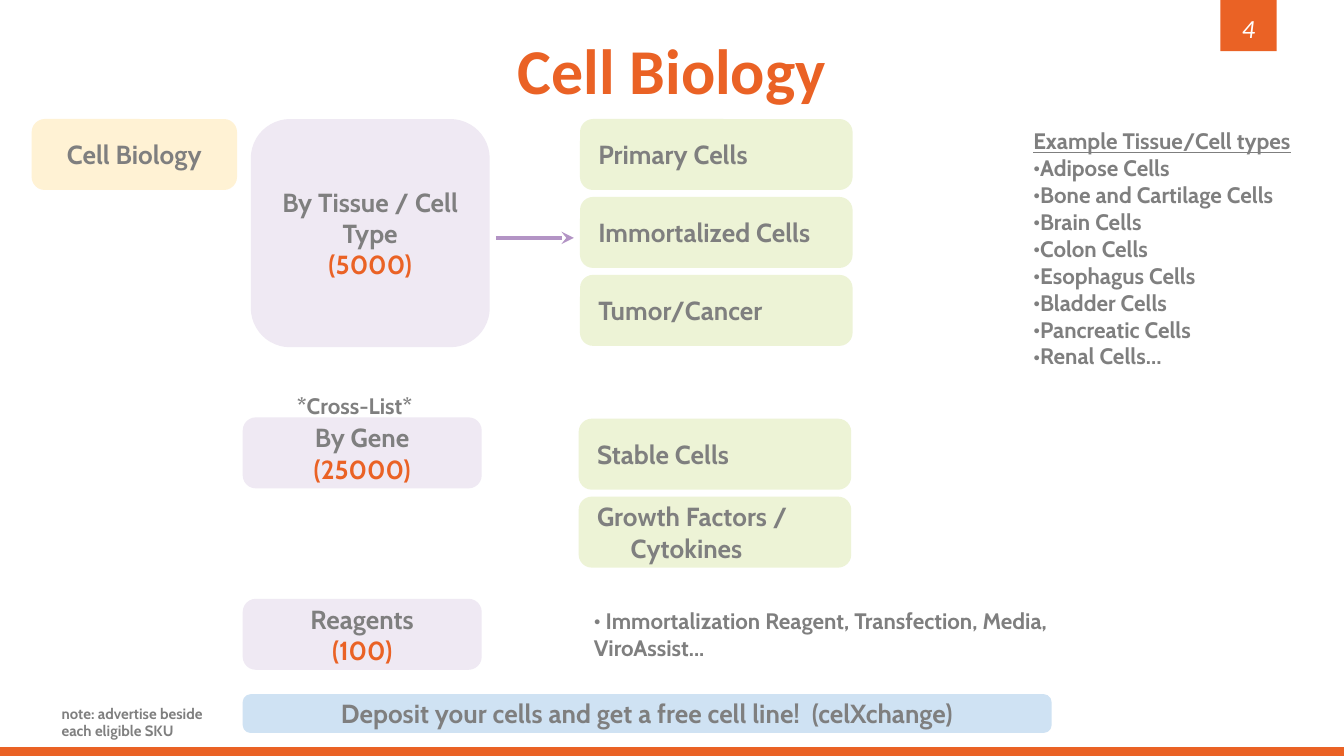
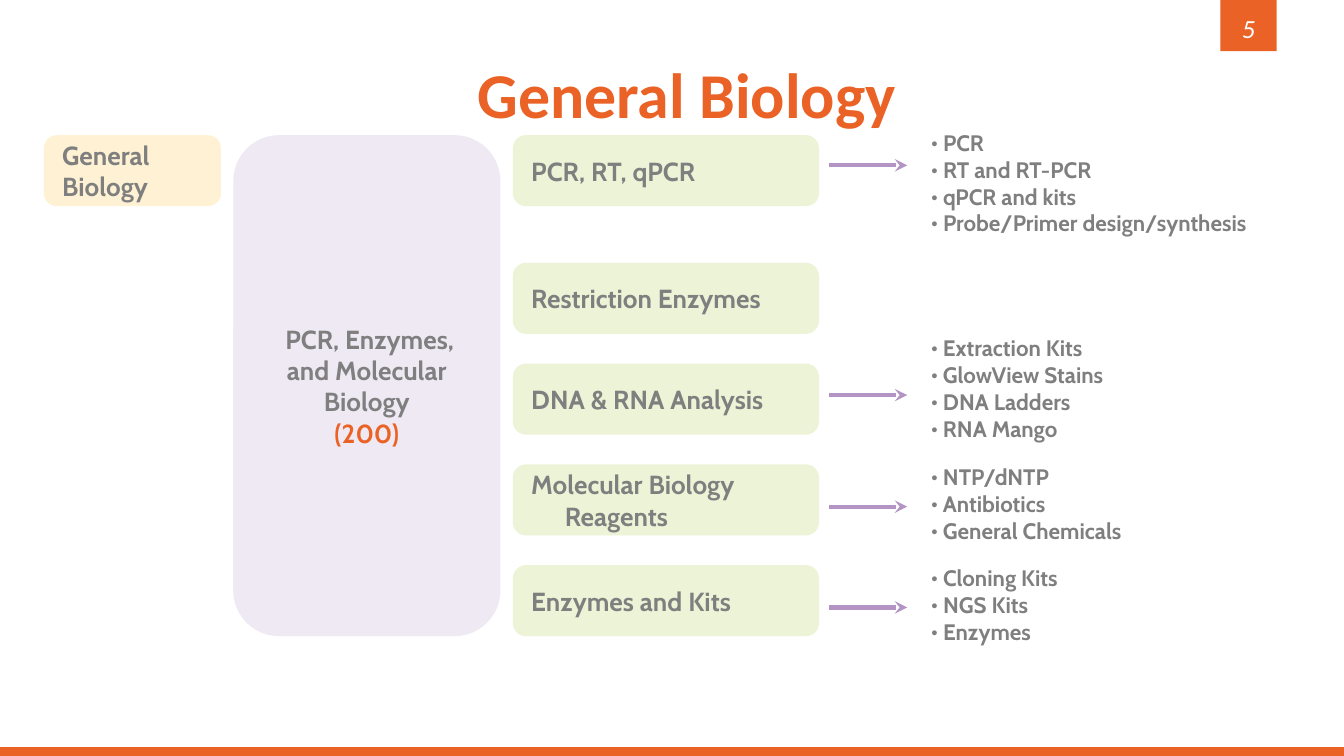
from lxml import etree
from pptx import Presentation
from pptx import util as u
from pptx.dml.color import RGBColor
from pptx.enum import shapes, text
from pptx.oxml.ns import qn

WIDTH, HEIGHT = 10, 10 * 9 / 16

ORANGE = RGBColor(0xEA, 0x62, 0x25)
GREY = RGBColor(0x7F, 0x7F, 0x7F)
WHITE = RGBColor(0xFF, 0xFF, 0xFF)
CREAM = RGBColor(0xFF, 0xF2, 0xD4)
GREEN = RGBColor(0xED, 0xF3, 0xD6)
LILAC = RGBColor(0xEF, 0xE9, 0xF3)
BLUE = RGBColor(0xCF, 0xE2, 0xF3)
PURPLE = RGBColor(0xB3, 0x94, 0xC5)

LEFT, CENTER = text.PP_ALIGN.LEFT, text.PP_ALIGN.CENTER
TOP, MIDDLE = text.MSO_ANCHOR.TOP, text.MSO_ANCHOR.MIDDLE
RECT, ROUND = shapes.MSO_SHAPE.RECTANGLE, shapes.MSO_SHAPE.ROUNDED_RECTANGLE

# Text formats: font values, plus paragraph indents in inches and a bullet flag
TITLE = {"name": "Calibri", "size": u.Pt(34.2), "bold": True, "color": ORANGE}
NUMBER = {"name": "Calibri", "size": u.Pt(14), "italic": True, "color": WHITE}
LABEL = {"name": "Cabin", "size": u.Pt(14), "bold": True, "color": GREY}
COUNT = {**LABEL, "color": ORANGE}
HANGING = {**LABEL, "margin": 0.25, "indent": -0.25}
BODY = {**LABEL, "size": u.Pt(12)}
HEADING = {**BODY, "underline": True}
BULLET = {**BODY, "margin": 0, "indent": -0.08, "bullet": "•"}
CROSS = {**BODY, "margin": 0.5}
NOTE = {**CROSS, "size": u.Pt(8)}


def add_box(s, at, paras=(), fill=None, geom=ROUND, align=LEFT, anchor=MIDDLE):
    """Add a filled shape, or a text box if there is no fill."""
    at = [u.Inches(v) for v in at]
    if fill is None:
        sp = s.shapes.add_textbox(*at)
    else:
        sp = s.shapes.add_shape(geom, *at)
        sp.shadow.inherit = False
        sp.fill.solid()
        sp.fill.fore_color.rgb = fill
        if geom == ROUND:
            sp.line.color.rgb = fill
            sp.line.width = u.Pt(2)
        else:
            sp.line.fill.background()
    tf = sp.text_frame
    tf.word_wrap = True
    tf.vertical_anchor = anchor
    for i, (words, fmt) in enumerate(paras):
        p = tf.paragraphs[0] if i == 0 else tf.add_paragraph()
        p.alignment = align
        r = p.add_run()
        r.text = words
        pPr = p._p.get_or_add_pPr()
        for key, value in fmt.items():
            if key == "color":
                r.font.color.rgb = value
            elif key == "margin":
                pPr.set("marL", str(u.Inches(value)))
            elif key == "indent":
                pPr.set("indent", str(u.Inches(value)))
            elif key == "bullet":
                clr = etree.SubElement(pPr, qn("a:buClr"))
                etree.SubElement(clr, qn("a:srgbClr")).set("val", str(GREY))
                etree.SubElement(pPr, qn("a:buFont")).set("typeface", "Cabin")
                etree.SubElement(pPr, qn("a:buChar")).set("char", value)
            else:
                setattr(r.font, key, value)


def add_arrow(s, x, y):
    """Add a short arrow that points right."""
    cx = s.shapes.add_connector(shapes.MSO_CONNECTOR.STRAIGHT, u.Inches(x),
                                u.Inches(y), u.Inches(x + 0.58), u.Inches(y))
    cx.line.color.rgb = PURPLE
    cx.line.width = u.Pt(2.25)
    ln = cx.line._get_or_add_ln()
    etree.SubElement(ln, qn("a:tailEnd")).set("type", "stealth")
    etree.SubElement(cx._element.spPr, qn("a:effectLst"))


prs = Presentation()
prs.slide_width, prs.slide_height = u.Inches(WIDTH), u.Inches(HEIGHT)

# Footer band, page number and title of every slide
slides = []
for number, title, x, y in [("4", "Cell Biology", 0.5, 0.21),
                            ("5", "General Biology", 0.61, 0.39)]:
    s = prs.slides.add_slide(prs.slide_layouts[6])
    add_box(s, (0, 5.56, WIDTH, HEIGHT - 5.56), fill=ORANGE, geom=RECT)
    add_box(s, (9.08, 0, 0.42, 0.38), fill=ORANGE, geom=RECT)
    add_box(s, (9.08, 0.06, 0.42, 0.3), [(number, NUMBER)], align=CENTER)
    add_box(s, (x, y, 9, 0.6), [(title, TITLE)], align=CENTER)
    slides.append(s)
cell, general = slides

# Cell Biology: category and groups with their counts
add_box(cell, (0.25, 0.9, 1.5, 0.5), [("Cell Biology", LABEL)], CREAM, align=CENTER)
for x, y, h, name, count in [(1.88, 0.9, 1.67, "By Tissue / Cell Type", "(5000)"),
                             (1.82, 3.12, 0.5, "By Gene", "(25000)"),
                             (1.82, 4.47, 0.5, "Reagents", "(100)")]:
    add_box(cell, (x, y, 1.75, h), [(name, LABEL), (count, COUNT)], LILAC, align=CENTER)
add_arrow(cell, 3.69, 1.77)

# Cell Biology: product stacks
for x, top, names in [
        (4.33, 0.9, ["Primary Cells", "Immortalized Cells", "Tumor/Cancer"]),
        (4.32, 3.13, ["Stable Cells", "Growth Factors / Cytokines"])]:
    for i, name in enumerate(names):
        add_box(cell, (x, top + i * 0.58, 2, 0.5), [(name, HANGING)], GREEN)

# Cell Biology: examples, notes and offer
tissues = ["Adipose Cells", "Bone and Cartilage Cells", "Brain Cells", "Colon Cells",
           "Esophagus Cells", "Bladder Cells", "Pancreatic Cells", "Renal Cells…"]
examples = [("Example Tissue/Cell types", HEADING)] + [(t, BULLET) for t in tissues]
reagents = " Immortalization Reagent, Transfection, Media, ViroAssist..."
for at, paras in [
        ((7.59, 0.9, 2.24, 1.92), examples),
        ((4.32, 4.47, 3.62, 0.5), [(reagents, BULLET)]),
        ((1.61, 2.87, 3.62, 0.26), [("*Cross-List*", CROSS)]),
        ((-0.14, 5.19, 1.89, 0.83), [("note: advertise beside each eligible SKU", NOTE)])]:
    add_box(cell, at, paras, anchor=TOP)
add_box(cell, (1.82, 5.18, 5.99, 0.26),
        [("Deposit your cells and get a free cell line!  (celXchange)", LABEL)],
        BLUE, align=CENTER)

# General Biology: category and group
add_box(general, (0.34, 1.02, 1.29, 0.5), [("General Biology", LABEL)], CREAM)
add_box(general, (1.75, 1.02, 1.96, 3.7),
        [(" PCR, Enzymes, and Molecular Biology", LABEL), ("(200)", COUNT)],
        LILAC, align=CENTER)

# General Biology: product boxes
for y, name in [(1.02, "PCR, RT, qPCR"), (1.97, "Restriction Enzymes"),
                (2.72, "DNA & RNA Analysis"), (3.47, "Molecular Biology Reagents"),
                (4.22, "Enzymes and Kits")]:
    add_box(general, (3.83, y, 2.25, 0.5), [(name, HANGING)], GREEN)

# General Biology: arrows and the lists they lead to
for arrow_y, list_y, w, items in [
        (1.23, 0.91, 2.91, ["PCR", "RT and RT-PCR", "qPCR and kits",
                            "Probe/Primer design/synthesis"]),
        (2.94, 2.44, 3.07, ["Extraction Kits", "GlowView Stains", "DNA Ladders",
                            "RNA Mango"]),
        (3.77, 3.4, 3.07, ["NTP/dNTP", "Antibiotics", "General Chemicals"]),
        (4.52, 4.15, 2.55, ["Cloning Kits", "NGS Kits", "Enzymes"])]:
    add_arrow(general, 6.17, arrow_y)
    add_box(general, (6.83, list_y, w, 0.89),
            [(" " + item, BULLET) for item in items], anchor=TOP)

prs.save("out.pptx")
